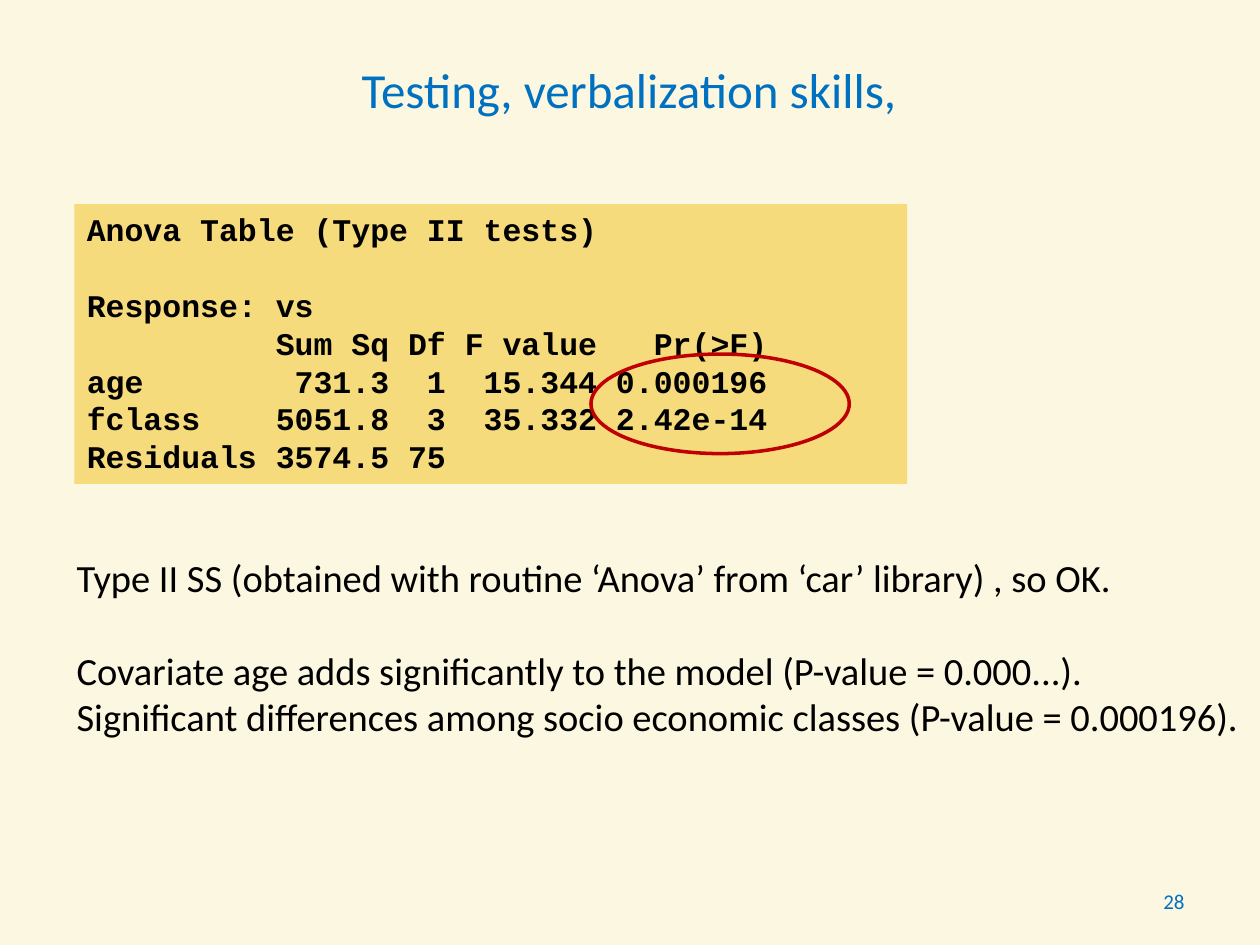
from dataclasses import dataclass

from pptx import Presentation, slide as sl, util as u
from pptx.dml.color import RGBColor
from pptx.enum import shapes, text

BLUE, BLACK, RED = "0070C0", "000000", "C00000"
CREAM, GOLD = "FCF7E0", "F5DB7B"
LEFT, CENTER, RIGHT = text.PP_ALIGN.LEFT, text.PP_ALIGN.CENTER, text.PP_ALIGN.RIGHT
TOP, MIDDLE = text.MSO_ANCHOR.TOP, text.MSO_ANCHOR.MIDDLE

ANOVA_OUTPUT = [
    "Anova Table (Type II tests)",
    "Response: vs",
    "          Sum Sq Df F value   Pr(>F)",
    "age        731.3  1  15.344 0.000196",
    "fclass    5051.8  3  35.332 2.42e-14",
    "Residuals 3574.5 75",
]
CONCLUSIONS = [
    "Type II SS (obtained with routine ‘Anova’ from ‘car’ library) , so OK.",
    "Covariate age adds significantly to the model (P-value = 0.000...).",
    "Significant differences among socio economic classes (P-value = 0.000196).",
]


def color(value):
    return RGBColor.from_string(value)


@dataclass
class Page:
    """Draws styled elements on the current slide."""

    slide: sl.Slide
    body_font: str = "Calibri"
    code_font: str = "Courier New"

    def background(self, fill):
        self.slide.background.fill.solid()
        self.slide.background.fill.fore_color.rgb = color(fill)

    def shape(self, kind, box, fill=None, line=None):
        shape = self.slide.shapes.add_shape(kind, *map(u.Inches, box))
        shape.shadow.inherit = False
        if fill:
            shape.fill.solid()
            shape.fill.fore_color.rgb = color(fill)
        else:
            shape.fill.background()
        if line:
            shape.line.color.rgb = color(line)
            shape.line.width = u.Pt(2)
        else:
            shape.line.fill.background()
        return shape

    def set_text(self, frame, lines, size, ink, font, align=LEFT, anchor=TOP,
                 bold=False, second_gap=0, pitch=None):
        frame.word_wrap = True
        frame.vertical_anchor = anchor
        for index, line in enumerate(lines):
            paragraph = frame.add_paragraph() if index else frame.paragraphs[0]
            paragraph.alignment = align
            if pitch:
                paragraph.line_spacing = u.Pt(pitch)
            if index == 1:
                paragraph.space_before = u.Pt(second_gap)
            run = paragraph.add_run()
            run.text = line
            run.font.name = font
            run.font.size = u.Pt(size)
            run.font.bold = bold
            run.font.color.rgb = color(ink)

    def label(self, box, lines, size, ink, **layout):
        frame = self.slide.shapes.add_textbox(*map(u.Inches, box)).text_frame
        self.set_text(frame, lines, size, ink, self.body_font, **layout)

    def code(self, box, lines, fill):
        panel = self.shape(shapes.MSO_SHAPE.RECTANGLE, box, fill=fill)
        self.set_text(panel.text_frame, lines, 18, BLACK, self.code_font,
                      bold=True, second_gap=21.6, pitch=21.6)

    def highlight(self, box, line):
        self.shape(shapes.MSO_SHAPE.OVAL, box, line=line)


def main():
    deck = Presentation()
    deck.slide_width, deck.slide_height = u.Inches(10), u.Inches(7.5)
    page = Page(deck.slides.add_slide(deck.slide_layouts[6]))
    page.background(CREAM)
    page.code((0.59, 1.62, 6.61, 2.22), ANOVA_OUTPUT, GOLD)
    page.label((8.78, 6.95, 0.72, 0.4), ["28"], 12, BLUE, align=RIGHT, anchor=MIDDLE)
    page.label((0.47, 0.42, 9.13, 0.57), ["Testing, verbalization skills, "], 28, BLUE,
               align=CENTER)
    page.label((0.51, 4.35, 9.49, 1.58), CONCLUSIONS, 22, BLACK, second_gap=26.5)
    page.highlight((4.69, 2.81, 2.05, 0.79), RED)
    deck.save("out.pptx")


if __name__ == "__main__":
    main()
